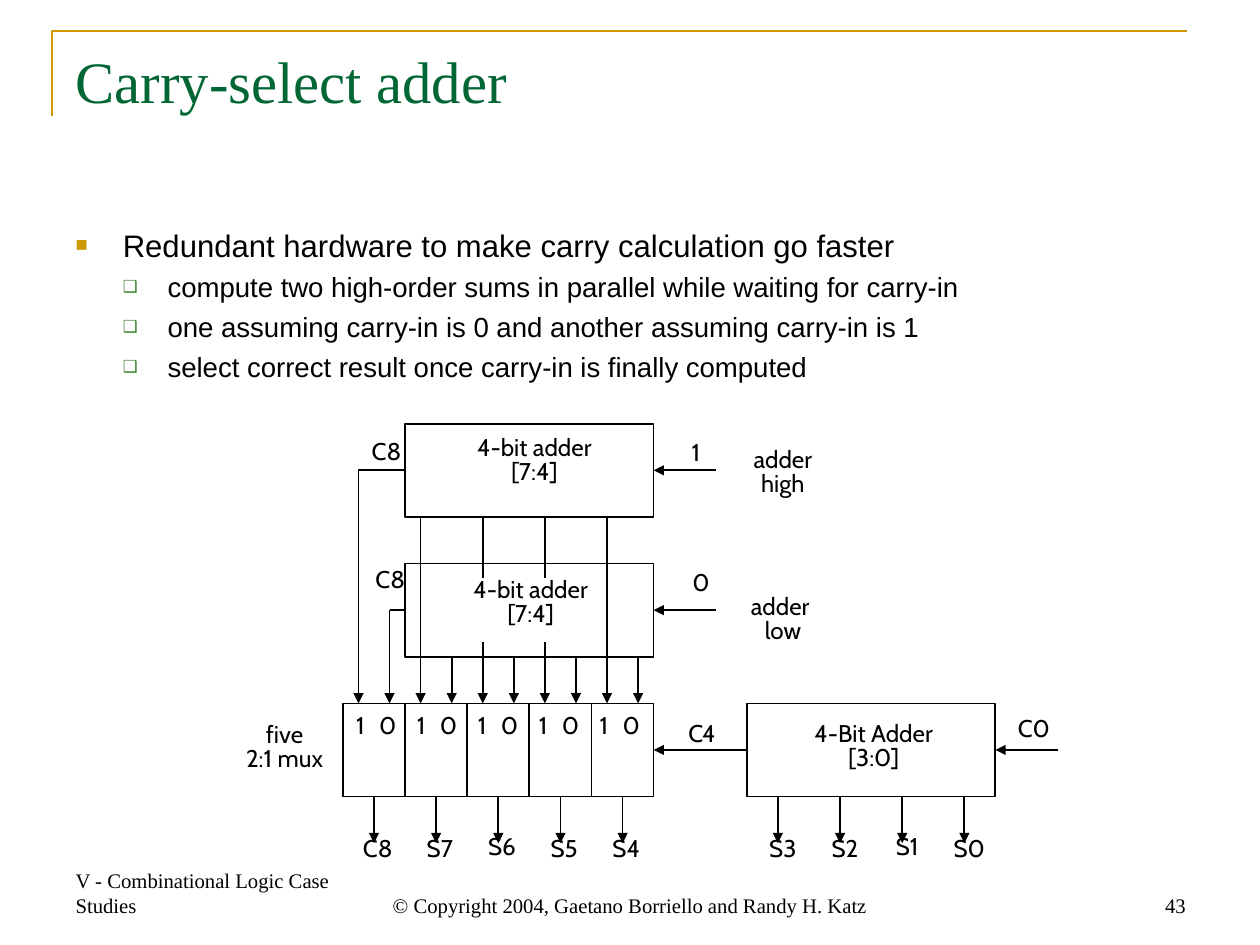
from lxml import etree
from pptx import Presentation
from pptx.dml.color import RGBColor
from pptx.enum.shapes import MSO_CONNECTOR, MSO_SHAPE
from pptx.enum.text import MSO_ANCHOR, PP_ALIGN
from pptx.oxml.ns import qn
from pptx.util import Inches, Pt

LEFT, CENTER, RIGHT = PP_ALIGN.LEFT, PP_ALIGN.CENTER, PP_ALIGN.RIGHT
TOP, BOTTOM = MSO_ANCHOR.TOP, MSO_ANCHOR.BOTTOM
STRAIGHT, RECTANGLE = MSO_CONNECTOR.STRAIGHT, MSO_SHAPE.RECTANGLE
COLORS = {name: RGBColor.from_string(value) for name, value in {
    "ink": "000000", "paper": "FFFFFF", "gold": "CC9900",
    "title": "006633", "leaf": "3B812F"}.items()}
GRID_LEFT, GRID_TOP, COLUMN, ROW = 2.76, 3.41, 0.5, 0.375

prs = Presentation()
prs.slide_width, prs.slide_height = Pt(730), Pt(547.5)
slide = prs.slides.add_slide(prs.slide_layouts[5])
shapes = slide.shapes


def write(frame, text, size, font, color="ink", align=LEFT, anchor=TOP):
    frame.word_wrap = True
    frame.vertical_anchor = anchor
    paragraph = frame.paragraphs[0]
    paragraph.text = text
    paragraph.alignment = align
    for run in paragraph.runs:
        run.font.size = Pt(size)
        run.font.name = font
        run.font.color.rgb = COLORS[color]
    return paragraph


def wire(start, end, arrow=True):
    points = [Inches(value) for column, row in (start, end)
              for value in (GRID_LEFT + column * COLUMN, GRID_TOP + row * ROW)]
    connector = shapes.add_connector(STRAIGHT, *points)
    connector.line.color.rgb = COLORS["ink"]
    connector.line.width = Pt(1)
    if arrow:
        etree.SubElement(connector.line._get_or_add_ln(), qn("a:tailEnd"), type="triangle")
    etree.SubElement(connector._element.spPr, qn("a:effectLst"))


outline = shapes.build_freeform(Inches(0.42), Inches(0.93))
outline.add_line_segments([(Inches(0.42), Inches(0.25)), (Inches(9.55), Inches(0.25))], close=False)
frame_line = outline.convert_to_shape()
frame_line.shadow.inherit = False
frame_line.fill.background()
frame_line.line.color.rgb = COLORS["gold"]
frame_line.line.width = Pt(1.5)

title = shapes.title
title.left, title.top, title.width, title.height = map(Inches, (0.51, 0.31, 9.12, 1.26))
write(title.text_frame, "Carry-select adder", 34, "Times New Roman", "title")

points = [
    (0, "Redundant hardware to make carry calculation go faster"),
    (1, "compute two high-order sums in parallel while waiting for carry-in"),
    (1, "one assuming carry-in is 0 and another assuming carry-in is 1"),
    (1, "select correct result once carry-in is finally computed"),
]
bullet_levels = [("■", "gold", 65, 18, 0.38, 0.38), ("❑", "leaf", 60, 16, 0.74, 0.36)]
body = shapes.add_textbox(*map(Inches, (0.51, 1.77, 9.12, 5.02))).text_frame
body.word_wrap = True
for index, (level, text) in enumerate(points):
    mark, mark_color, mark_size, size, margin, hanging = bullet_levels[level]
    point = body.add_paragraph() if index else body.paragraphs[0]
    point.text = text
    point.level = level
    if index:
        point.space_before = Pt(4)
    properties = point._p.get_or_add_pPr()
    properties.set("marL", str(Inches(margin)))
    properties.set("indent", str(-Inches(hanging)))
    bullet_color = etree.SubElement(properties, qn("a:buClr"))
    etree.SubElement(bullet_color, qn("a:srgbClr"), val=str(COLORS[mark_color]))
    etree.SubElement(properties, qn("a:buSzPct"), val=str(mark_size * 1000))
    etree.SubElement(properties, qn("a:buFont"), typeface="Arial")
    etree.SubElement(properties, qn("a:buChar"), char=mark)
    for run in point.runs:
        run.font.size = Pt(size)
        run.font.name = "Arial"
        run.font.color.rgb = COLORS["ink"]

adders = [(1, 0, 4), (1, 3, 4), (6.5, 6, 4)]
muxes = [(column, 6, 1) for column in range(5)]
for column, row, span in adders + muxes:
    block = shapes.add_shape(
        RECTANGLE, Inches(GRID_LEFT + column * COLUMN), Inches(GRID_TOP + row * ROW),
        Inches(span * COLUMN), Inches(2 * ROW))
    block.shadow.inherit = False
    block.fill.background()
    block.line.color.rgb = COLORS["ink"]
    block.line.width = Pt(1)

for bit in range(4):
    wire((1.25 + bit, 2), (1.25 + bit, 6))
    wire((1.75 + bit, 5), (1.75 + bit, 6))
for column in (0.5, 1.5, 2.5, 3.5, 4.5, 7, 8, 9, 10):
    wire((column, 8), (column, 9))
for start, end, row in [(6, 5, 1), (6, 5, 4), (6.5, 5, 7), (11.5, 10.5, 7)]:
    wire((start, row), (end, row))
for column, row in [(0.25, 1), (0.75, 4)]:
    wire((1, row), (column, row), arrow=False)
    wire((column, row), (column, 6))

label_gap = shapes.add_shape(RECTANGLE, *map(Inches, (3.63, 4.66, 1.13, 0.5)))
label_gap.shadow.inherit = False
label_gap.fill.solid()
label_gap.fill.fore_color.rgb = COLORS["paper"]
label_gap.line.color.rgb = COLORS["paper"]
label_gap.line.width = Pt(1)

labels = [
    ("4-bit adder\n[7:4]", 4.3, 3.49), ("4-bit adder\n[7:4]", 4.27, 4.63),
    ("4-Bit Adder\n[3:0]", 7.03, 5.79), ("five\n2:1 mux", 2.29, 5.8),
    ("adder\nhigh", 6.3, 3.59), ("adder \nlow", 6.3, 4.77),
    ("C8", 3.11, 3.52), ("C8", 3.14, 4.55), ("1", 5.6, 3.53), ("0", 5.64, 4.58),
    ("C4", 5.65, 5.79), ("C0", 8.32, 5.75),
]
for mux in range(5):
    labels += [("1", 2.9 + 0.49 * mux, 5.73), ("0", 3.12 + 0.49 * mux, 5.73)]
for first_center, outputs in [(3.04, "C8 S7 S6 S5 S4"), (6.3, "S3 S2 S1 S0")]:
    labels += [(output, first_center + COLUMN * place, 6.7 if place == 2 else 6.72)
               for place, output in enumerate(outputs.split())]
for text, center, top in labels:
    lines = text.split("\n")
    width = 0.1 + 0.12 * max(map(len, lines))
    label = shapes.add_textbox(
        Inches(center - width / 2), Inches(top), Inches(width), Inches(0.13 + 0.2 * len(lines))).text_frame
    label.margin_left = label.margin_right = 0
    label.margin_top = label.margin_bottom = Inches(0.03)
    write(label, text, 14, "Cabin", align=CENTER).line_spacing = Pt(13.9)
    label.word_wrap = False

footers = [
    ("V - Combinational Logic Case Studies", 0.51, 2.37, LEFT),
    ("© Copyright 2004, Gaetano Borriello and Randy H. Katz", 2.96, 4.22, CENTER),
    ("43", 7.27, 2.37, RIGHT),
]
for text, left, width, align in footers:
    footer = shapes.add_textbox(Inches(left), Inches(6.92), Inches(width), Inches(0.51))
    write(footer.text_frame, text, 12, "Times New Roman", align=align, anchor=BOTTOM)

prs.save("out.pptx")
